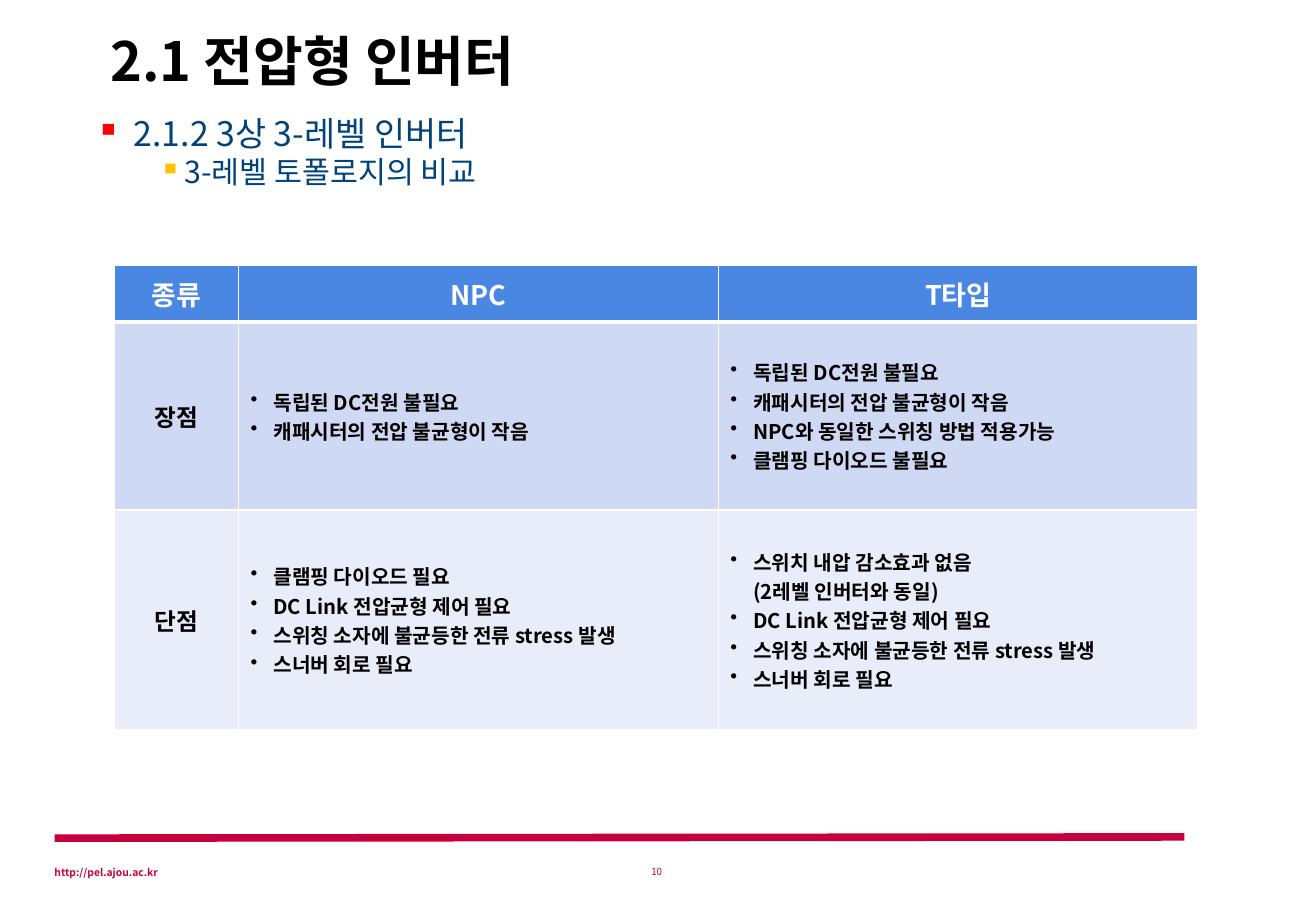
import pptx
import pptx.dml.color
import pptx.enum.shapes
import pptx.enum.text
import pptx.oxml
import pptx.oxml.ns
import pptx.util
from lxml import etree

Pt = pptx.util.Pt
RGBColor = pptx.dml.color.RGBColor
ALIGN = pptx.enum.text.PP_ALIGN
ANCHOR = pptx.enum.text.MSO_ANCHOR
qn = pptx.oxml.ns.qn

FONT = "Noto Sans CJK KR"
BLACK = RGBColor(0x00, 0x00, 0x00)
WHITE = RGBColor(0xFF, 0xFF, 0xFF)
NAVY = RGBColor(0x00, 0x42, 0x7A)
CRIMSON = RGBColor(0xC6, 0x00, 0x3D)
RED = RGBColor(0xFD, 0x00, 0x00)
AMBER = RGBColor(0xFF, 0xC0, 0x00)
HEADER_BLUE = RGBColor(0x49, 0x87, 0xE3)
BAND_DARK = RGBColor(0xD0, 0xD9, 0xF4)
BAND_LIGHT = RGBColor(0xE9, 0xED, 0xFA)

HEADINGS = ["종류", "NPC", "T타입"]
SHARED_PROS = ["독립된 DC전원 불필요", "캐패시터의 전압 불균형이 작음"]
SHARED_CONS = [
    "DC Link 전압균형 제어 필요",
    "스위칭 소자에 불균등한 전류 stress 발생",
    "스너버 회로 필요",
]
COMPARISON = [
    ("장점", BAND_DARK, SHARED_PROS,
     SHARED_PROS + ["NPC와 동일한 스위칭 방법 적용가능", "클램핑 다이오드 불필요"]),
    ("단점", BAND_LIGHT, ["클램핑 다이오드 필요"] + SHARED_CONS,
     ["스위치 내압 감소효과 없음\n(2레벨 인버터와 동일)"] + SHARED_CONS),
]
COLUMN_WIDTHS = [73.4, 284.4, 284.4]
ROW_HEIGHTS = [33.8, 111.6, 130.4]


class SlideBuilder:
    def __init__(self, slide, font):
        self.slide = slide
        self.font = font

    def text_box(self, left, top, width, height, anchor=ANCHOR.MIDDLE):
        frame = self.slide.shapes.add_textbox(
            Pt(left), Pt(top), Pt(width), Pt(height)).text_frame
        frame.word_wrap = True
        frame.vertical_anchor = anchor
        return frame

    def add_text(self, paragraph, text, size, color, bold=False,
                 align=ALIGN.LEFT, lowered=False):
        """Fill a paragraph with runs, one per line of text."""
        paragraph.alignment = align
        for number, line in enumerate(text.split("\n")):
            if number:
                paragraph.add_line_break()
            run = paragraph.add_run()
            run.text = line
            run.font.size = Pt(size)
            run.font.bold = bold
            run.font.color.rgb = color
            run.font.name = self.font
            properties = run.font._element
            etree.SubElement(properties, qn("a:ea"), typeface=self.font)
            if lowered:
                properties.set("baseline", "-25000")

    def bullet(self, paragraph, mark, indent, hang, color):
        properties = paragraph._p.get_or_add_pPr()
        properties.set("marL", str(Pt(indent)))
        properties.set("indent", str(-Pt(hang)))
        bullet_color = etree.SubElement(properties, qn("a:buClr"))
        etree.SubElement(bullet_color, qn("a:srgbClr"), val=str(color))
        etree.SubElement(properties, qn("a:buChar"), char=mark)

    def line(self, start, end, color, width):
        rule = self.slide.shapes.add_connector(
            pptx.enum.shapes.MSO_CONNECTOR.STRAIGHT,
            *(Pt(value) for value in start + end))
        rule.line.color.rgb = color
        rule.line.width = Pt(width)
        etree.SubElement(rule._element.spPr, qn("a:effectLst"))

    def table(self, left, top, widths, heights):
        table = self.slide.shapes.add_table(
            len(heights), len(widths), Pt(left), Pt(top),
            Pt(sum(widths)), Pt(sum(heights))).table
        table.horz_banding = False
        for column, width in zip(table.columns, widths):
            column.width = Pt(width)
        for row, height in zip(table.rows, heights):
            row.height = Pt(height)
        return table

    def cell(self, cell, fill, top_border=1, bottom_border=1):
        """Style a cell and return its text frame."""
        cell.vertical_anchor = ANCHOR.MIDDLE
        properties = cell._tc.get_or_add_tcPr()
        borders = {"lnL": 1, "lnR": 1, "lnT": top_border, "lnB": bottom_border}
        for side, width in borders.items():
            border = etree.SubElement(properties, qn("a:" + side), w=str(Pt(width)))
            paint = etree.SubElement(border, qn("a:solidFill"))
            etree.SubElement(paint, qn("a:srgbClr"), val=str(WHITE))
        cell.fill.solid()
        cell.fill.fore_color.rgb = fill
        return cell.text_frame

    def bullet_list(self, frame, items):
        for number, item in enumerate(items):
            paragraph = frame.add_paragraph() if number else frame.paragraphs[0]
            self.bullet(paragraph, "•", 13.5, 13.5, BLACK)
            self.add_text(paragraph, item, 12, BLACK, bold=True)


def main():
    deck = pptx.Presentation()
    deck.slide_width, deck.slide_height = Pt(780), Pt(540)
    builder = SlideBuilder(deck.slides.add_slide(deck.slide_layouts[6]), FONT)

    builder.line((32.4, 496.8), (702, 496.1), CRIMSON, 4.5)
    site = builder.text_box(25.2, 500.4, 159, 26)
    builder.add_text(site.paragraphs[0], "http://pel.ajou.ac.kr", 10.5, CRIMSON,
                     bold=True, lowered=True)
    page_number = builder.text_box(369.4, 500, 39.6, 26)
    builder.add_text(page_number.paragraphs[0], "10", 10, CRIMSON,
                     align=ALIGN.CENTER, lowered=True)

    title = builder.text_box(58.3, 13.7, 649.4, 43.2)
    builder.add_text(title.paragraphs[0], "2.1 전압형 인버터", 32, BLACK, bold=True)

    outline = builder.text_box(49.7, 66.2, 678.2, 396.7, ANCHOR.TOP)
    section = outline.paragraphs[0]
    builder.bullet(section, "▪", 22.5, 22.5, RED)
    builder.add_text(section, "2.1.2 3상 3-레벨 인버터", 20, NAVY)
    topic = outline.add_paragraph()
    topic.level = 1
    builder.bullet(topic, "▪", 52.5, 15, AMBER)
    builder.add_text(topic, "3-레벨 토폴로지의 비교", 18, NAVY)
    topic.space_before = Pt(2)
    section.line_spacing = topic.line_spacing = 0.9

    comparison = builder.table(68, 157, COLUMN_WIDTHS, ROW_HEIGHTS)
    for column, heading in enumerate(HEADINGS):
        frame = builder.cell(comparison.cell(0, column), HEADER_BLUE, bottom_border=3)
        builder.add_text(frame.paragraphs[0], heading, 16, WHITE, bold=True,
                         align=ALIGN.CENTER)
    for row, (label, fill, *lists) in enumerate(COMPARISON, start=1):
        top_border = 3 if row == 1 else 1
        frame = builder.cell(comparison.cell(row, 0), fill, top_border)
        builder.add_text(frame.paragraphs[0], label, 14, BLACK, bold=True,
                         align=ALIGN.CENTER)
        for column, items in enumerate(lists, start=1):
            frame = builder.cell(comparison.cell(row, column), fill, top_border)
            builder.bullet_list(frame, items)

    deck.save("out.pptx")


if __name__ == "__main__":
    main()
